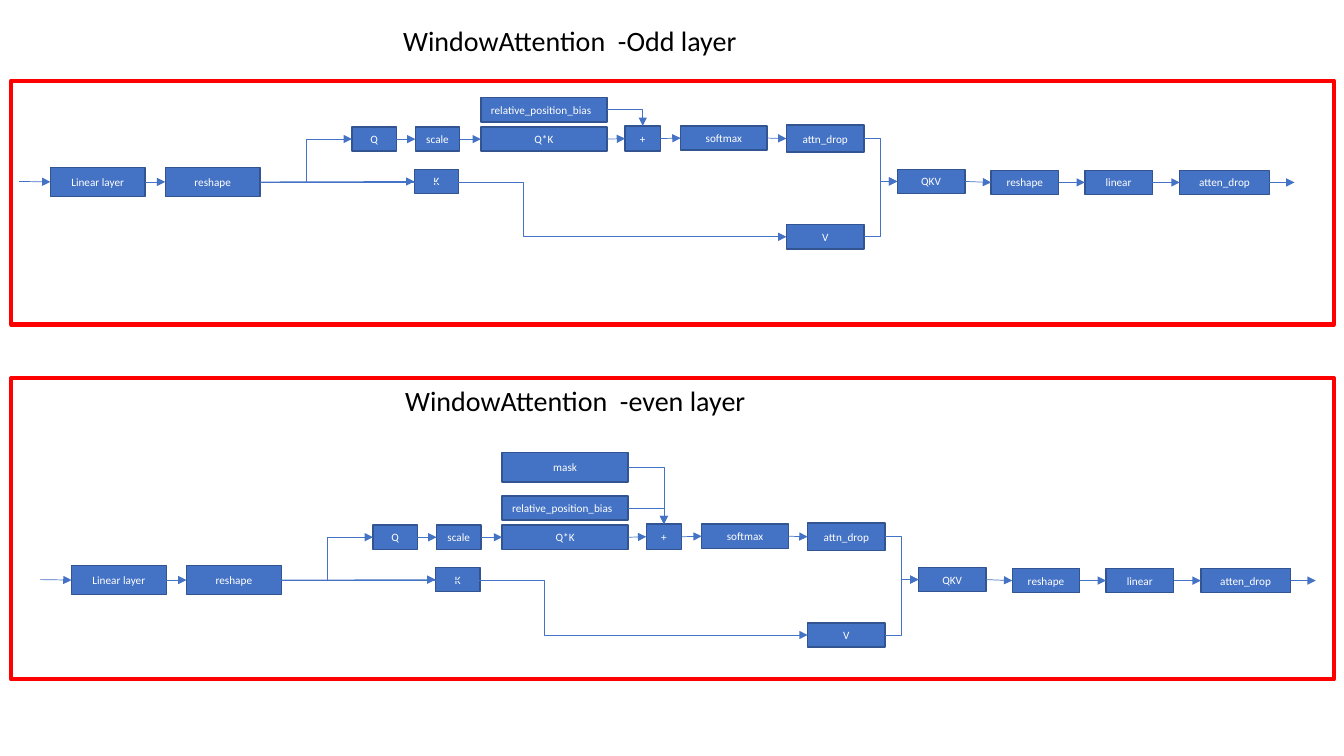
from typing import NamedTuple

from lxml import etree
from pptx import Presentation
from pptx.dml.color import RGBColor
from pptx.enum.shapes import MSO_CONNECTOR, MSO_SHAPE
from pptx.enum.text import MSO_ANCHOR, PP_ALIGN
from pptx.oxml.ns import qn
from pptx.util import Pt

RECT = MSO_SHAPE.RECTANGLE
STRAIGHT, ELBOW = MSO_CONNECTOR.STRAIGHT, MSO_CONNECTOR.ELBOW
LEFT, CENTER, MIDDLE = PP_ALIGN.LEFT, PP_ALIGN.CENTER, MSO_ANCHOR.MIDDLE
TOP_SITE, LEFT_SITE, RIGHT_SITE = 0, 1, 3

PX = 9144  # EMU per px, 100 px to the inch
COLORS = {"box": "4472C4", "edge": "325491", "arrow": "4472C4",
          "frame": "FF0000", "label": "FFFFFF", "title": "000000"}
FONTS = {"label": {"name": "Calibri", "size": Pt(8)},
         "title": {"name": "Calibri", "size": Pt(20)}}


class Box(NamedTuple):
    key: str
    text: str
    x: int
    y: int
    w: int
    h: int
    align: int = CENTER


class Link(NamedTuple):
    src: str
    dst: str
    bent: bool = False
    site: int = LEFT_SITE


class Layer(NamedTuple):
    title: str
    title_x: int
    title_y: int
    frame_y: int
    frame_h: int
    dx: int
    dy: int
    masked: bool


# Positions belong to the odd layer; the even layer shifts them.
BOXES = [
    Box("linear_in", "Linear layer", 50, 166, 94, 29),
    Box("reshape_in", "reshape", 164, 166, 94, 29),
    Box("q", "Q", 349, 126, 44, 24),
    Box("scale", "scale", 412, 126, 44, 24),
    Box("qk", "Q*K", 477, 126, 125, 24),
    Box("bias", "relative_position_bias", 477, 97, 125, 24, LEFT),
    Box("plus", "+", 620, 125, 35, 25),
    Box("softmax", "softmax", 675, 125, 86, 24),
    Box("attn_drop", "attn_drop", 780, 124, 77, 27),
    Box("k", "K", 411, 168, 44, 24),
    Box("v", "V", 780, 223, 77, 24),
    Box("qkv", "QKV", 890, 168, 67, 24),
    Box("reshape_out", "reshape", 983, 169, 67, 24),
    Box("linear_out", "linear", 1076, 169, 67, 24),
    Box("atten_drop", "atten_drop", 1170, 169, 89, 24),
]
MASK = Box("mask", "mask", 477, 54, 125, 29)

CHAINS = [
    ("linear_in", "reshape_in", "k"),
    ("q", "scale", "qk", "plus", "softmax", "attn_drop"),
    ("qkv", "reshape_out", "linear_out", "atten_drop"),
]
LINKS = [Link(a, b) for chain in CHAINS for a, b in zip(chain, chain[1:])] + [
    Link("reshape_in", "q", True),
    Link("reshape_in", "v", True),
    Link("attn_drop", "qkv", True),
    Link("v", "qkv", True),
    Link("bias", "plus", True, TOP_SITE),
]
MASK_LINK = Link("mask", "plus", True, TOP_SITE)

LAYERS = [
    Layer("WindowAttention  -Odd layer", 390, 18, 80, 242, 0, 0, False),
    Layer("WindowAttention  -even layer", 392, 376, 375, 299, 21, 395, True),
]


def rgb(name: str) -> RGBColor:
    return RGBColor.from_string(COLORS[name])


def px(*values: int) -> list[int]:
    return [v * PX for v in values]


def write(tf, text: str, style: str, align: int) -> None:
    tf.word_wrap = True
    p = tf.paragraphs[0]
    p.alignment = align
    r = p.add_run()
    r.text = text
    for name, value in FONTS[style].items():
        setattr(r.font, name, value)
    r.font.color.rgb = rgb(style)


def add_rect(s, x: int, y: int, w: int, h: int, edge: str, width: int):
    sp = s.shapes.add_shape(RECT, *px(x, y, w, h))
    sp.shadow.inherit = False
    sp.line.color.rgb = rgb(edge)
    sp.line.width = Pt(width)
    return sp


def add_box(s, box: Box, layer: Layer):
    sp = add_rect(s, box.x + layer.dx, box.y + layer.dy, box.w, box.h, "edge", 1)
    sp.fill.solid()
    sp.fill.fore_color.rgb = rgb("box")
    sp.text_frame.vertical_anchor = MIDDLE
    write(sp.text_frame, box.text, "label", box.align)
    return sp


def add_arrow(s, kind: int, x1: int = 0, y1: int = 0, x2: int = 0, y2: int = 0):
    line = s.shapes.add_connector(kind, *px(x1, y1, x2, y2))
    line.line.color.rgb = rgb("arrow")
    line.line.width = Pt(0.5)
    etree.SubElement(line.line._get_or_add_ln(), qn("a:tailEnd"), type="triangle")
    etree.SubElement(line._element.spPr, qn("a:effectLst"))
    return line


def add_link(s, link: Link, shapes: dict) -> None:
    line = add_arrow(s, ELBOW if link.bent else STRAIGHT)
    line.begin_connect(shapes[link.src], RIGHT_SITE)
    line.end_connect(shapes[link.dst], link.site)
    if link.site == TOP_SITE:  # a single corner, right then down
        geom = line._element.spPr.find(qn("a:prstGeom"))
        geom.set("prst", "bentConnector2")


def add_layer(s, layer: Layer) -> None:
    boxes = BOXES + [MASK] * layer.masked
    shapes = {box.key: add_box(s, box, layer) for box in boxes}
    for link in LINKS + [MASK_LINK] * layer.masked:
        add_link(s, link, shapes)

    x, y = layer.dx, layer.dy
    entry = add_arrow(s, STRAIGHT, x + 19, y + 180, x + 50, y + 180)
    entry.end_connect(shapes["linear_in"], LEFT_SITE)
    leave = add_arrow(s, STRAIGHT, x + 1259, y + 181, x + 1284, y + 181)
    leave.begin_connect(shapes["atten_drop"], RIGHT_SITE)

    title = s.shapes.add_textbox(*px(layer.title_x, layer.title_y, 464, 44))
    write(title.text_frame, layer.title, "title", LEFT)
    frame = add_rect(s, 11, layer.frame_y, 1312, layer.frame_h, "frame", 3)
    frame.fill.background()


def main() -> None:
    prs = Presentation()
    prs.slide_width, prs.slide_height = px(1333, 750)
    s = prs.slides.add_slide(prs.slide_layouts[6])
    for layer in LAYERS:
        add_layer(s, layer)
    prs.save("out.pptx")


if __name__ == "__main__":
    main()
